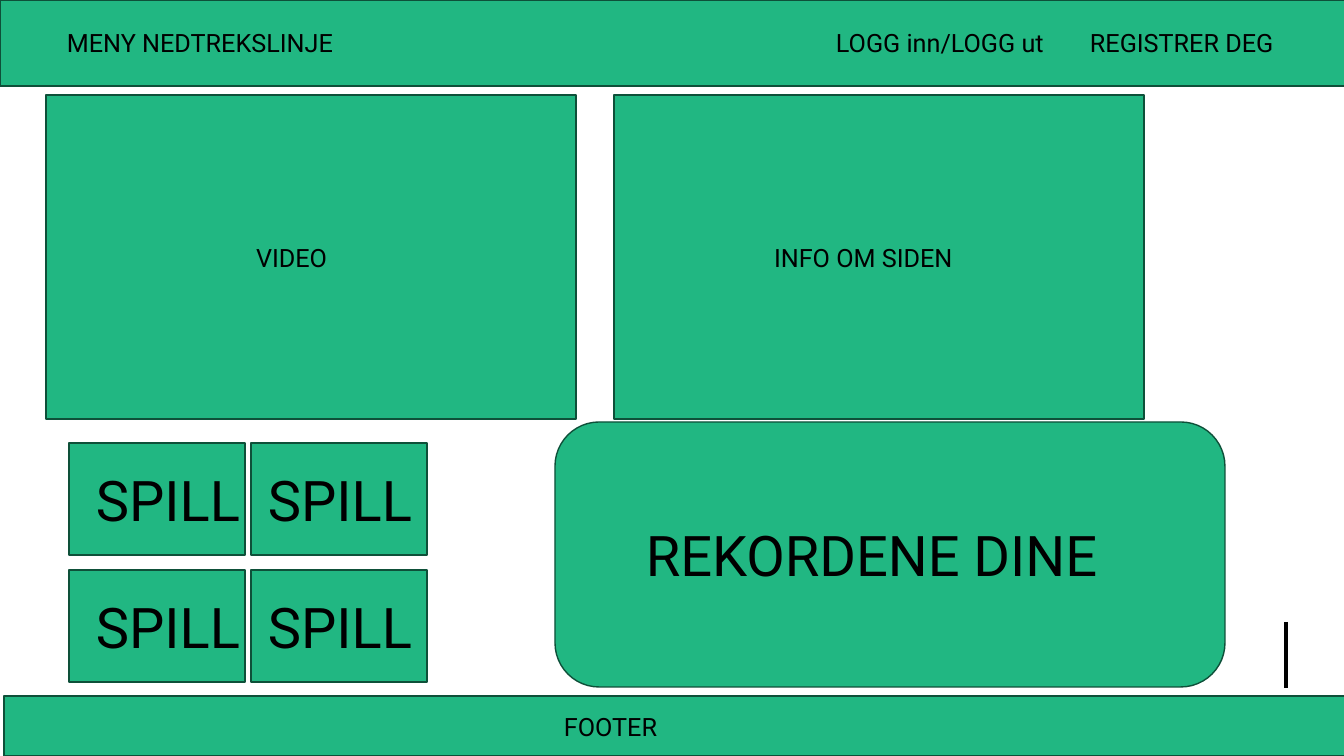
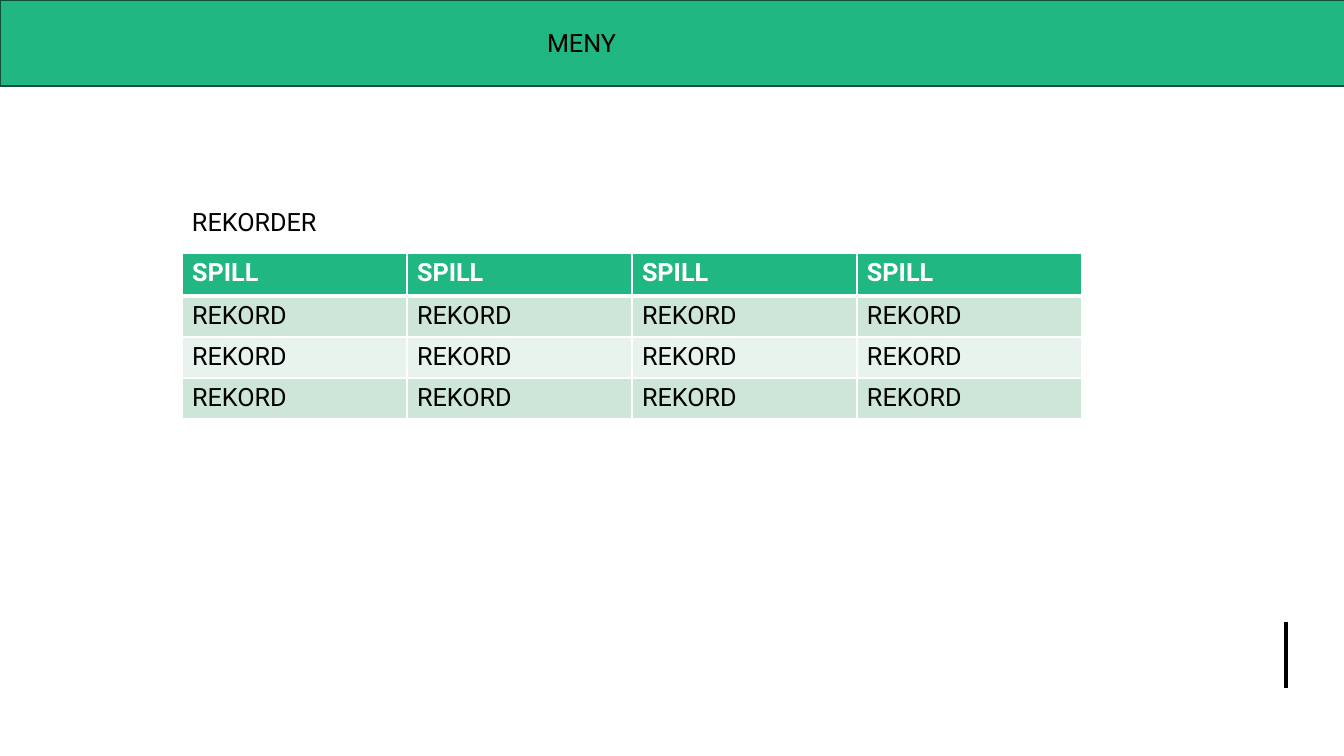
from collections import namedtuple
from dataclasses import dataclass

from lxml import etree
from pptx import Presentation
from pptx.dml.color import RGBColor
from pptx.enum.shapes import MSO_CONNECTOR, MSO_SHAPE
from pptx.enum.text import MSO_ANCHOR, MSO_AUTO_SIZE, PP_ALIGN
from pptx.oxml.ns import qn
from pptx.util import Pt

RECT, ROUNDED = MSO_SHAPE.RECTANGLE, MSO_SHAPE.ROUNDED_RECTANGLE
STRAIGHT = MSO_CONNECTOR.STRAIGHT
LEFT, MIDDLE, TOP = PP_ALIGN.LEFT, MSO_ANCHOR.MIDDLE, MSO_ANCHOR.TOP
NO_FIT = MSO_AUTO_SIZE.NONE
TITLE_ONLY, BLANK = 5, 6

EMU_PER_PX = 914400 / 100.8
Box = namedtuple("Box", "left top width height")


@dataclass(frozen=True)
class Theme:
    font: str = "Roboto"
    green: str = "21B782"
    outline: str = "0E5039"
    band_dark: str = "CDE6D8"
    band_light: str = "E8F3ED"
    black: str = "000000"
    white: str = "FFFFFF"
    body: int = 18
    large: int = 40
    thin: int = 1
    thick: int = 3


THEME = Theme()
SLIDE = Box(0, 0, 1344, 756)
HEADER = Box(0, 0, 1346, 86)
FOOTER = Box(4, 696, 1342, 60)


def px(length):
    return round(length * EMU_PER_PX)


def emu(box):
    return [px(length) for length in box]


def rgb(color):
    return RGBColor.from_string(color)


# Text
def write(frame, text, size=THEME.body, color=THEME.black, bold=False):
    para = frame.paragraphs[0]
    para.alignment = LEFT
    span = para.add_run()
    span.text = text
    formats = {"name": THEME.font, "size": Pt(size), "bold": bold}
    for name, value in formats.items():
        setattr(span.font, name, value)
    span.font.color.rgb = rgb(color)


def set_frame(frame, left=10, right=10):
    formats = {
        "word_wrap": True, "auto_size": NO_FIT, "vertical_anchor": MIDDLE,
        "margin_left": px(left), "margin_right": px(right),
        "margin_top": px(5), "margin_bottom": px(5),
    }
    for name, value in formats.items():
        setattr(frame, name, value)


def add_label(page, box, text):
    frame = page.shapes.add_textbox(*emu(box)).text_frame
    set_frame(frame)
    write(frame, text)


def set_title(page, box, text):
    title = page.shapes.title
    for name, value in zip(Box._fields, emu(box)):
        setattr(title, name, value)
    set_frame(title.text_frame)
    write(title.text_frame, text)


# Shared parts
def add_panel(page, box, text="", indent=10, size=THEME.body, kind=RECT):
    panel = page.shapes.add_shape(kind, *emu(box))
    panel.shadow.inherit = False
    panel.fill.solid()
    panel.fill.fore_color.rgb = rgb(THEME.green)
    panel.line.color.rgb = rgb(THEME.outline)
    panel.line.width = Pt(THEME.thin)
    if text:
        set_frame(panel.text_frame, left=indent, right=0)
        write(panel.text_frame, text, size)


def add_header(page, box, labels):
    add_panel(page, box)
    for left, width, text in labels:
        add_label(page, Box(box.left + left, box.top + 22, width, 41), text)


def add_side_line(page, box):
    left, top, bottom = px(box.width - 58), px(box.top + 622), px(box.top + 688)
    line = page.shapes.add_connector(STRAIGHT, left, top, left, bottom)
    line.line.color.rgb = rgb(THEME.black)
    line.line.width = Pt(THEME.thick)
    etree.SubElement(line._element.spPr, qn("a:effectLst"))


def add_page(deck, layout):
    page = deck.slides.add_slide(deck.slide_layouts[layout])
    add_side_line(page, SLIDE)
    return page


# Grid of games
def add_games(page, box, gap_x=6, gap_y=15):
    width = (box.width - gap_x) // 2
    height = (box.height - gap_y) // 2
    for row in range(2):
        for col, indent in enumerate((27, 17)):
            tile = Box(box.left + col * (width + gap_x),
                       box.top + row * (height + gap_y), width, height)
            add_panel(page, tile, "SPILL", indent, THEME.large)


# Table of records
def set_borders(cell, bottom):
    props = cell._tc.get_or_add_tcPr()
    widths = {"L": THEME.thin, "R": THEME.thin, "T": THEME.thin, "B": bottom}
    for index, (side, width) in enumerate(widths.items()):
        edge = etree.Element(qn(f"a:ln{side}"), w=str(Pt(width)))
        fill = etree.SubElement(edge, qn("a:solidFill"))
        etree.SubElement(fill, qn("a:srgbClr"), val=THEME.white)
        props.insert(index, edge)


def add_records(page, box, rows):
    frame = page.shapes.add_table(len(rows), len(rows[0]), *emu(box))
    table = frame.table
    for index, values in enumerate(rows):
        head = index == 0
        band = THEME.band_dark if index % 2 else THEME.band_light
        table.rows[index].height = px(43 if head else 41)
        for col, text in enumerate(values):
            cell = table.cell(index, col)
            cell.vertical_anchor = TOP
            cell.fill.solid()
            cell.fill.fore_color.rgb = rgb(THEME.green if head else band)
            write(cell.text_frame, text, bold=head,
                  color=THEME.white if head else THEME.black)
            set_borders(cell, THEME.thick if head else THEME.thin)


# Pages
def build_home(deck):
    page = add_page(deck, BLANK)
    add_header(page, HEADER, [
        (57, 295, "MENY NEDTREKSLINJE"),
        (826, 254, "LOGG inn/LOGG ut"),
        (1080, 254, "REGISTRER DEG"),
    ])
    add_panel(page, Box(46, 95, 530, 324), "VIDEO", 210)
    add_panel(page, Box(614, 95, 530, 324), "INFO OM SIDEN", 160)
    add_games(page, Box(69, 443, 358, 239))
    add_panel(page, Box(555, 422, 670, 265), "REKORDENE DINE", 78,
              THEME.large, ROUNDED)
    add_panel(page, FOOTER, "FOOTER", 560)


def build_records(deck):
    page = add_page(deck, TITLE_ONLY)
    add_header(page, HEADER, [(537, 346, "MENY")])
    set_title(page, Box(182, 201, 220, 40), "REKORDER")
    add_records(page, Box(182, 253, 900, 166),
                [["SPILL"] * 4] + [["REKORD"] * 4] * 3)


def main():
    deck = Presentation()
    deck.slide_width, deck.slide_height = px(SLIDE.width), px(SLIDE.height)
    build_home(deck)
    build_records(deck)
    deck.save("out.pptx")


if __name__ == "__main__":
    main()
